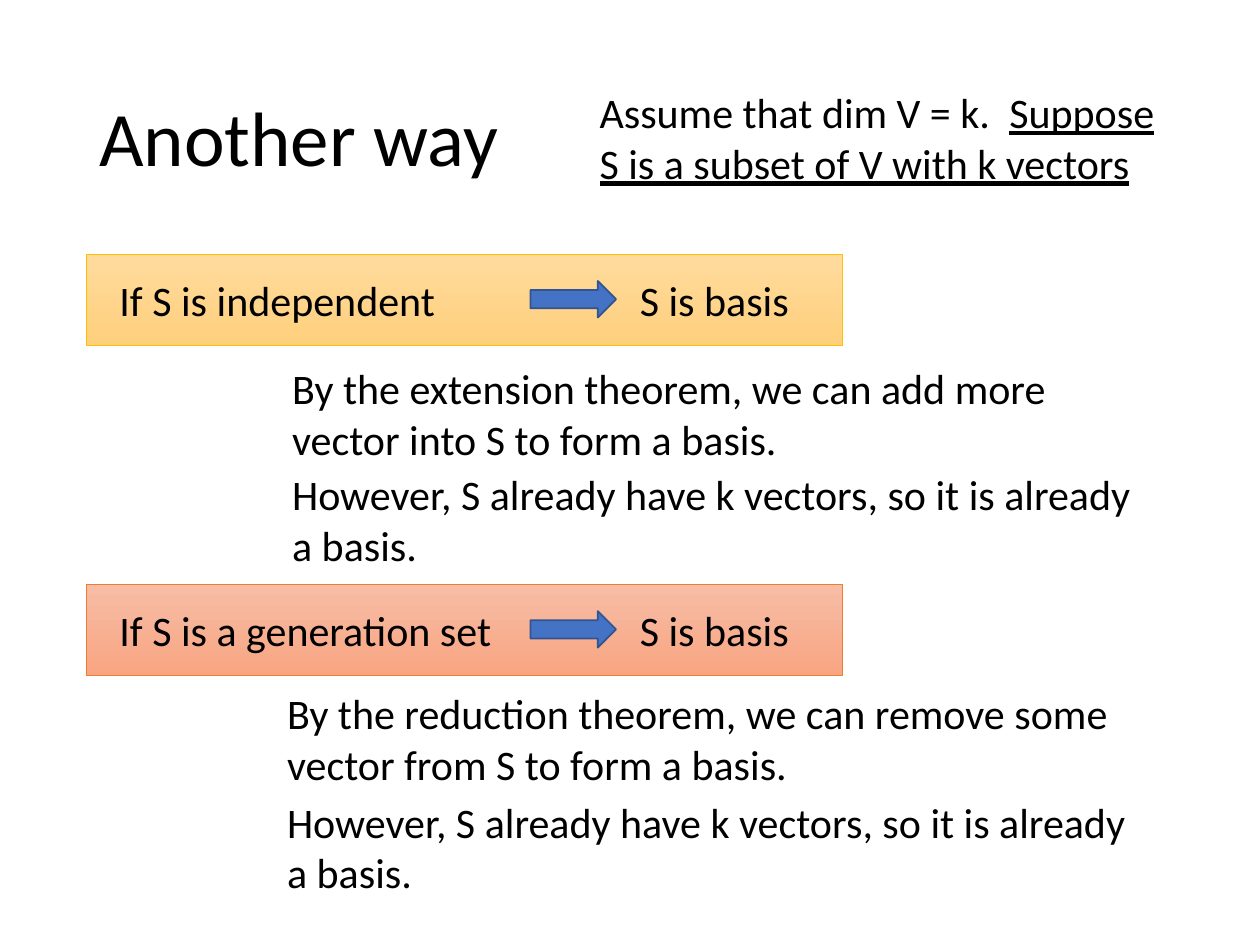
"""Build the slide on two other ways to recognise a basis."""
from pptx import Presentation, util as u
from pptx.dml.color import RGBColor
from pptx.enum import shapes, text

BLACK = RGBColor(0x00, 0x00, 0x00)
BLUE = RGBColor(0x44, 0x72, 0xC4)
DARK_BLUE = RGBColor(0x32, 0x54, 0x91)
GOLD = RGBColor(0xFF, 0xC0, 0x00)
GOLD_TOP = RGBColor(0xFF, 0xDB, 0x9E)
GOLD_BOTTOM = RGBColor(0xFF, 0xD0, 0x7C)
ORANGE = RGBColor(0xED, 0x7D, 0x31)
ORANGE_TOP = RGBColor(0xF7, 0xBD, 0xA5)
ORANGE_BOTTOM = RGBColor(0xF8, 0xA5, 0x82)

presentation = Presentation()
presentation.slide_width = u.Inches(10)
presentation.slide_height = u.Inches(7.5)
slide = presentation.slides.add_slide(presentation.slide_layouts[6])

COLUMN = presentation.slide_width / 100
ROW = presentation.slide_height / 75
LINE_HEIGHT = 5
PAIR_HEIGHT = 9.1


def place(left, top, width, height):
    return round(left * COLUMN), round(top * ROW), round(width * COLUMN), round(height * ROW)


def add_text(parent, content, area, size=24, underlined="", spacing=None,
             anchor=text.MSO_ANCHOR.TOP, fit=text.MSO_AUTO_SIZE.SHAPE_TO_FIT_TEXT):
    frame = parent.shapes.add_textbox(*place(*area)).text_frame
    frame.word_wrap = True
    frame.auto_size = fit
    frame.vertical_anchor = anchor
    paragraph = frame.paragraphs[0]
    paragraph.line_spacing = spacing
    for wording, underline in ((content, None), (underlined, True)):
        if wording:
            run = paragraph.add_run()
            run.text = wording
            run.font.name = "Calibri"
            run.font.size = u.Pt(size)
            run.font.color.rgb = BLACK
            run.font.underline = underline


add_text(slide, "Another way", (6.9, 4, 86.2, 14.5), size=44, spacing=0.9,
         anchor=text.MSO_ANCHOR.MIDDLE, fit=text.MSO_AUTO_SIZE.NONE)
add_text(slide, "Assume that dim V = k.  ", (46.6, 6.4, 48.1, PAIR_HEIGHT),
         underlined="Suppose S is a subset of V with k vectors")

CONCLUSION = "However, S already have k vectors, so it is already a basis."
cases = [
    (20.2, "If S is independent", 27.3, GOLD, GOLD_TOP, GOLD_BOTTOM, 22.2,
     [(28.3, "By the extension theorem, we can add more vector into S to form a basis."),
      (36.7, CONCLUSION)]),
    (46.4, "If S is a generation set", 32, ORANGE, ORANGE_TOP, ORANGE_BOTTOM, 21.8,
     [(54.1, "By the reduction theorem, we can remove some vector from S to form a basis."),
      (62.7, CONCLUSION)]),
]

for top, condition, condition_width, outline, shade_top, shade_bottom, reason_left, reasons in cases:
    group = slide.shapes.add_group_shape()

    banner = group.shapes.add_shape(shapes.MSO_SHAPE.RECTANGLE, *place(6.9, top, 60, 7.2))
    banner.shadow.inherit = False
    banner.fill.gradient()
    banner.fill.gradient_angle = 270
    for stop, shade in zip(banner.fill.gradient_stops, (shade_top, shade_bottom)):
        stop.color.rgb = shade
    banner.line.color.rgb = outline
    banner.line.width = u.Pt(0.5)

    add_text(group, condition, (8.5, top + 1.1, condition_width, LINE_HEIGHT))
    add_text(group, "S is basis", (49.8, top + 1.1, 15.4, LINE_HEIGHT))

    arrow = group.shapes.add_shape(shapes.MSO_SHAPE.RIGHT_ARROW, *place(42.1, top + 2.1, 6.8, 2.9))
    arrow.shadow.inherit = False
    arrow.fill.solid()
    arrow.fill.fore_color.rgb = BLUE
    arrow.line.color.rgb = DARK_BLUE
    arrow.line.width = u.Pt(1)

    for reason_top, reason in reasons:
        add_text(slide, reason, (reason_left, reason_top, 69.1, PAIR_HEIGHT))

presentation.save("out.pptx")
